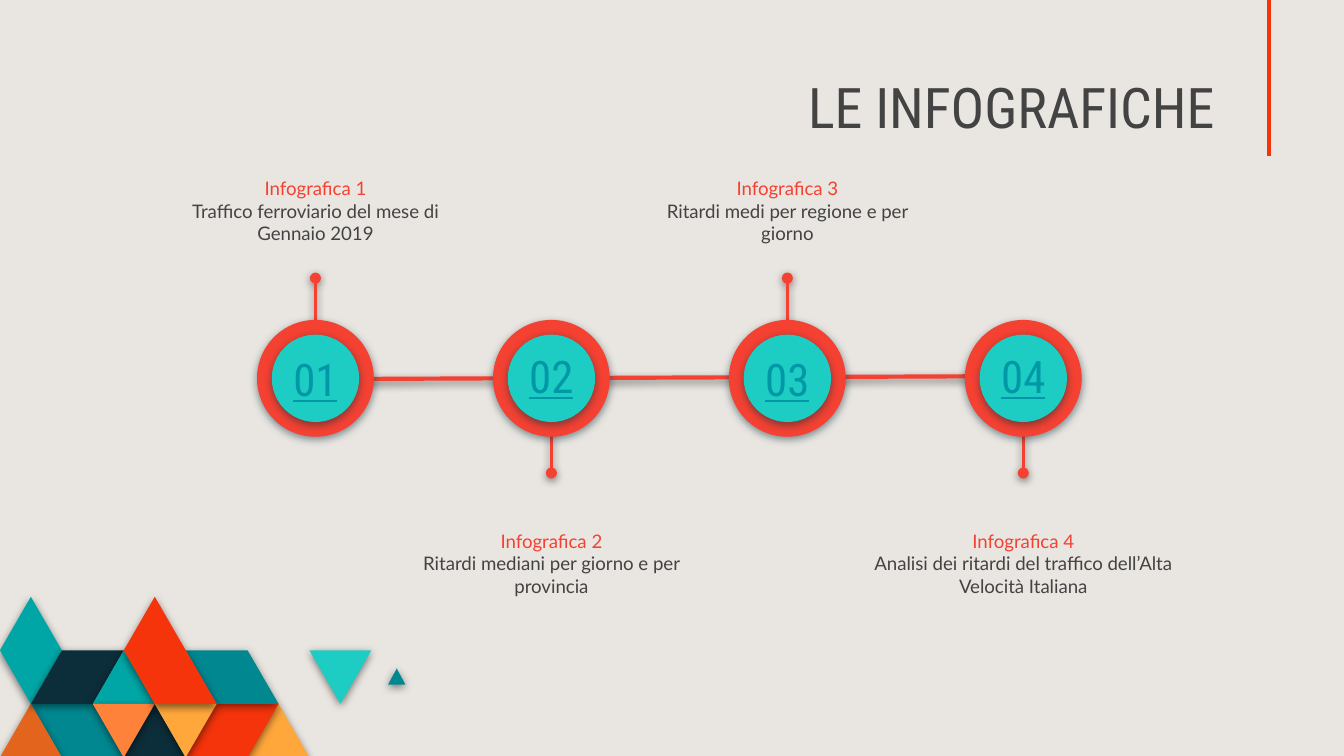
import dataclasses

import lxml.etree
import pptx
import pptx.dml.color
import pptx.enum.shapes
import pptx.enum.text
import pptx.oxml.ns
import pptx.util

Pt = pptx.util.Pt
Align = pptx.enum.text.PP_ALIGN
Anchor = pptx.enum.text.MSO_ANCHOR


@dataclasses.dataclass(frozen=True)
class Theme:
    """Colours, fonts and type sizes of the deck."""

    ground: str = "E9E6E1"
    ink: str = "434343"
    coral: str = "F54132"
    red: str = "F5340B"
    aqua: str = "1DCDC3"
    teal: str = "00A6A6"
    deep: str = "018790"
    navy: str = "0C2E3A"
    rust: str = "E3651D"
    peach: str = "FF823B"
    amber: str = "FFA73B"
    link: str = "0097A7"
    shade: str = "000000"
    head: str = "Roboto Condensed"
    body: str = "Lato"
    big: int = 30
    mid: int = 24
    small: int = 10


def tint(code):
    """Return the colour for a hex code."""
    return pptx.dml.color.RGBColor.from_string(code)


def node(parent, tag, **attrs):
    """Append a drawing element to a parent."""
    return lxml.etree.SubElement(parent, pptx.oxml.ns.qn(tag), attrs)


class Board:
    """Draws styled elements on the current slide."""

    def __init__(self, deck, theme):
        """Add a title-only slide with a plain ground."""
        self.theme = theme
        self.slide = deck.slides.add_slide(deck.slide_layouts[5])
        self.shapes = self.slide.shapes
        fill = self.slide.background.fill
        fill.solid()
        fill.fore_color.rgb = tint(theme.ground)

    def cast(self, effects, color):
        """Put a soft shadow into an effect list."""
        shadow = node(effects, "a:outerShdw", blurRad=str(Pt(4.5)), dist=str(Pt(1.5)),
                      dir="5400000", algn="bl", rotWithShape="0")
        node(node(shadow, "a:srgbClr", val=color), "a:alpha", val="50000")

    def paint(self, shape, color, shade):
        """Give a shape a flat fill and a shadow."""
        shape.fill.solid()
        shape.fill.fore_color.rgb = tint(color)
        shape.line.fill.background()
        shape.shadow.inherit = False
        effects = shape.element.spPr.find(pptx.oxml.ns.qn("a:effectLst"))
        self.cast(effects, shade)

    def tile(self, points, color):
        """Draw a closed polygon."""
        spots = [(Pt(x), Pt(y)) for x, y in points]
        pen = self.shapes.build_freeform(*spots[0])
        pen.add_line_segments(spots[1:], close=True)
        self.paint(pen.convert_to_shape(), color, self.theme.shade)

    def disc(self, x, y, size, color):
        """Draw a circle around a centre."""
        shape = self.shapes.add_shape(pptx.enum.shapes.MSO_SHAPE.OVAL,
                                      Pt(x - size / 2), Pt(y - size / 2), Pt(size), Pt(size))
        self.paint(shape, color, self.theme.navy)

    def line(self, start, end, color, width, shade=True, knob=False):
        """Draw a straight line, with a round end if asked."""
        link = self.shapes.add_connector(pptx.enum.shapes.MSO_CONNECTOR.STRAIGHT,
                                         *map(Pt, start + end))
        link.line.color.rgb = tint(color)
        link.line.width = Pt(width)
        props = link.element.spPr
        if knob:
            stroke = props.find(pptx.oxml.ns.qn("a:ln"))
            node(stroke, "a:tailEnd", type="oval", w="med", len="med")
        effects = node(props, "a:effectLst")
        if shade:
            self.cast(effects, self.theme.shade)

    def letter(self, shape, parts, face, size, align, anchor):
        """Set coloured lines of text as one paragraph."""
        frame = shape.text_frame
        frame.word_wrap = True
        frame.auto_size = pptx.enum.text.MSO_AUTO_SIZE.NONE
        frame.vertical_anchor = anchor
        frame.margin_left = frame.margin_right = Pt(7.2)
        frame.margin_top = frame.margin_bottom = Pt(7.2)
        para = frame.paragraphs[0]
        para.alignment = align
        para.font.name = face
        para.font.size = Pt(size)
        for spot, (text, color) in enumerate(parts):
            if spot:
                para.add_line_break()
            run = para.add_run()
            run.text = text
            run.font.color.rgb = tint(color)
        return para

    def title(self, text, left, top, width, height):
        """Place and fill the title."""
        shape = self.shapes.title
        shape.left, shape.top, shape.width, shape.height = map(Pt, (left, top, width, height))
        self.letter(shape, [(text, self.theme.ink)], self.theme.head, self.theme.big,
                    Align.RIGHT, Anchor.BOTTOM)

    def label(self, x, top, width, parts, face, size, anchor):
        """Add centred text around a vertical axis."""
        box = self.shapes.add_textbox(Pt(x - width / 2), Pt(top), Pt(width), Pt(54))
        return self.letter(box, parts, face, size, Align.CENTER, anchor)


def main():
    """Build the slide."""
    deck = pptx.Presentation()
    deck.slide_width, deck.slide_height = Pt(720), Pt(405)
    theme = Theme()
    board = Board(deck, theme)

    tiles = [
        (theme.amber, [(10, 3), (9, 2), (8, 3)]),
        (theme.red, [(9, 2), (7, 2), (6, 3), (8, 3)]),
        (theme.deep, [(4, 3), (3, 2), (1, 2), (2, 3)]),
        (theme.rust, [(2, 3), (1, 2), (0, 3)]),
        (theme.navy, [(6, 3), (5, 2), (4, 3)]),
        (theme.deep, [(9, 2), (8, 1), (6, 1), (7, 2)]),
        (theme.deep, [(13.1, 1.64), (12.82, 1.34), (12.54, 1.64)]),
        (theme.aqua, [(12, 1), (10, 1), (11, 2)]),
        (theme.teal, [(2, 1), (1, 0), (0, 1), (1, 2)]),
        (theme.navy, [(4, 1), (2, 1), (1, 2), (3, 2)]),
        (theme.teal, [(5, 2), (4, 1), (3, 2)]),
        (theme.peach, [(5, 2), (3, 2), (4, 3)]),
        (theme.amber, [(7, 2), (5, 2), (6, 3)]),
        (theme.red, [(7, 2), (5, 0), (4, 1), (5, 2)]),
    ]
    for color, cells in tiles:
        board.tile([(16.58 * col, 319.7 + 28.7 * row) for col, row in cells], color)

    board.line((679.7, 0), (679.7, 83.5), theme.red, 2.25, shade=False)
    board.title("LE INFOGRAFICHE", 20.9, 36.7, 637.2, 45.4)

    steps = [
        ("Traffico ferroviario del mese di Gennaio 2019", 162),
        ("Ritardi mediani per giorno e per provincia", 186.5),
        ("Ritardi medi per regione e per giorno", 159),
        ("Analisi dei ritardi del traffico dell’Alta Velocità Italiana", 196.5),
    ]
    mid = 202.7
    board.line((197.3, 203), (519.8, 201.6), theme.coral, 2.25)
    for spot, (text, width) in enumerate(steps):
        x = 169 + 126.4 * spot
        high = spot % 2 == 0
        root, tip, top, lift = (-23.4, -53.7, 87.8, 27) if high else (23.4, 50.7, 276.6, 28.4)
        board.line((x, mid + root), (x, mid + tip), theme.coral, 1.5, knob=True)
        board.disc(x, mid, 62.6, theme.coral)
        board.disc(x, mid, 46.8, theme.aqua)
        mark = board.label(x, mid - lift, 56, [(f"{spot + 1:02}", theme.link)],
                           theme.head, theme.mid, Anchor.MIDDLE)
        mark.font.underline = True
        note = board.label(x, top, width,
                           [(f"Infografica {spot + 1}", theme.coral), (text, theme.ink)],
                           theme.body, theme.small, Anchor.TOP)
        note.space_after = Pt(16)

    deck.save("out.pptx")


if __name__ == "__main__":
    main()
